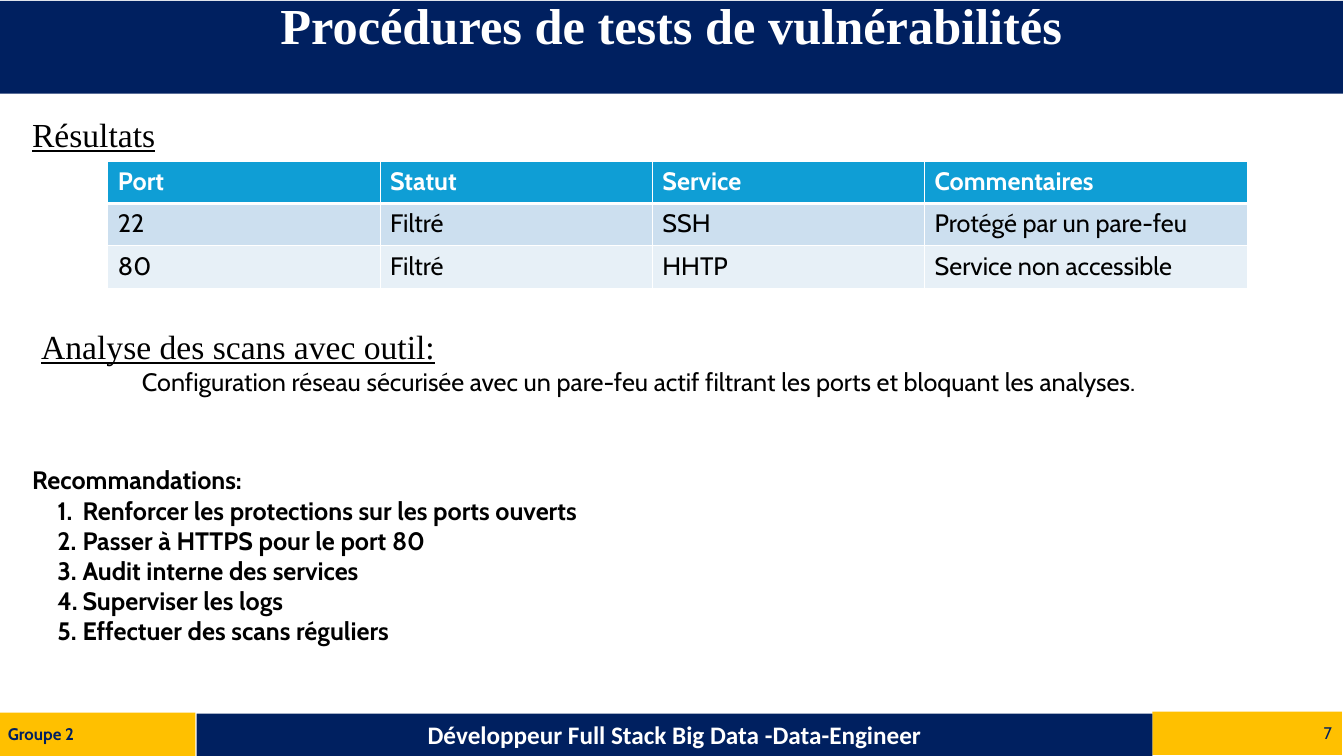
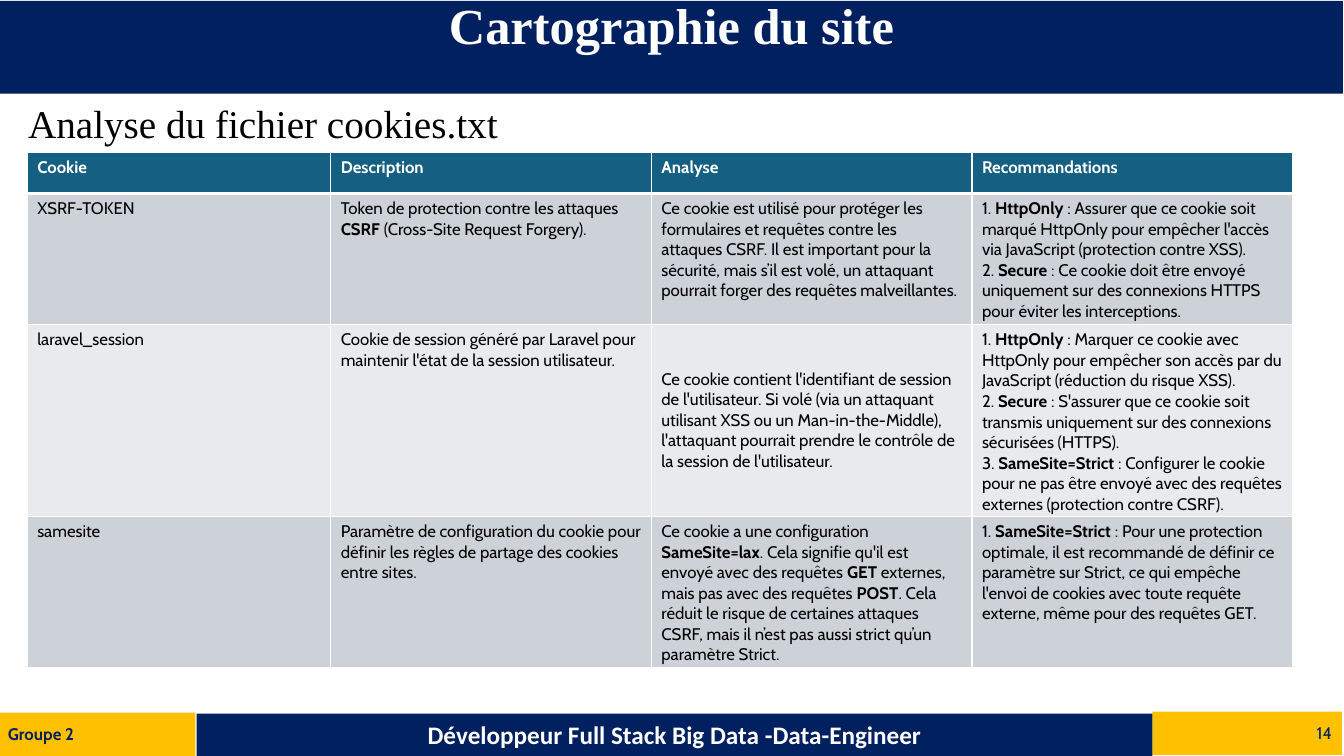
from dataclasses import dataclass

import lxml.etree
import pptx
import pptx.dml.color
import pptx.enum.shapes
import pptx.enum.text
import pptx.oxml.ns
import pptx.presentation
import pptx.shapes.autoshape
import pptx.slide
import pptx.table
import pptx.text.text
import pptx.util

Inches = pptx.util.Inches
Color = pptx.dml.color.RGBColor
Align = pptx.enum.text.PP_ALIGN
Anchor = pptx.enum.text.MSO_ANCHOR
qn = pptx.oxml.ns.qn


@dataclass(frozen=True)
class Theme:
    navy: Color = Color(0x00, 0x20, 0x60)
    gold: Color = Color(0xFF, 0xC0, 0x00)
    white: Color = Color(0xFF, 0xFF, 0xFF)
    black: Color = Color(0x00, 0x00, 0x00)
    serif: str = "Times New Roman"
    body: str = "Cabin"
    footer: str = "Calibri"
    title_size: int = 36
    subtitle_size: int = 28
    heading_size: int = 24
    text_size: int = 18
    small_size: int = 12
    thin_border: int = 1
    thick_border: int = 3


THEME = Theme()


@dataclass(frozen=True)
class Area:
    left: float
    top: float
    width: float
    height: float

    def lengths(self) -> tuple[int, int, int, int]:
        return (Inches(self.left), Inches(self.top),
                Inches(self.width), Inches(self.height))


@dataclass(frozen=True)
class TextStyle:
    font: str
    size: int
    color: Color = THEME.black
    bold: bool = False
    underline: bool = False


@dataclass(frozen=True)
class Band:
    area: Area
    fill: Color
    style: TextStyle
    align: Align
    text: str


@dataclass(frozen=True)
class Grid:
    left: float
    top: float
    columns: tuple[float, ...]
    heights: tuple[float, ...]
    size: int
    header_fill: Color
    row_fills: tuple[Color, Color]
    rows: tuple[tuple[str, ...], ...]
    centred: tuple[tuple[int, int], ...] = ()


TITLE = TextStyle(THEME.serif, THEME.title_size, THEME.white, bold=True)
SUBTITLE = TextStyle(THEME.serif, THEME.subtitle_size)
HEADING = TextStyle(THEME.serif, THEME.heading_size, underline=True)
BODY = TextStyle(THEME.body, THEME.text_size)
STRONG = TextStyle(THEME.body, THEME.text_size, bold=True)
NUMBER = TextStyle(THEME.body, THEME.small_size, THEME.navy)
GROUP = TextStyle(THEME.body, THEME.small_size, THEME.navy, bold=True)
COURSE = TextStyle(THEME.footer, THEME.text_size, THEME.white, bold=True)

PORTS = Grid(
    left=1.07, top=1.6, columns=(2.7, 2.7, 2.7, 3.2), heights=(0.42,) * 3,
    size=THEME.text_size, header_fill=Color(0x0F, 0x9E, 0xD5),
    row_fills=(Color(0xCC, 0xDF, 0xEF), Color(0xE7, 0xF0, 0xF7)),
    rows=(
        ("Port", "Statut", "Service", "Commentaires"),
        ("22", "Filtré", "SSH", "Protégé par un pare-feu"),
        ("80", "Filtré", "HHTP", "Service non accessible"),
    ),
)

COOKIES = Grid(
    left=0.27, top=1.51, columns=(3.01, 3.18, 3.18, 3.18),
    heights=(0.41, 1.29, 1.9, 1.5),
    size=THEME.small_size, header_fill=Color(0x15, 0x60, 0x82),
    row_fills=(Color(0xCC, 0xD2, 0xD8), Color(0xE8, 0xEA, 0xED)),
    rows=(
        ("Cookie", "Description", "Analyse", "Recommandations"),
        (
            "XSRF-TOKEN",
            "Token de protection contre les attaques **CSRF** (Cross-Site Request Forgery).",
            "Ce cookie est utilisé pour protéger les formulaires et requêtes contre les "
            "attaques CSRF. Il est important pour la sécurité, mais s’il est volé, un "
            "attaquant pourrait forger des requêtes malveillantes.",
            "1. **HttpOnly** : Assurer que ce cookie soit marqué HttpOnly pour empêcher "
            "l'accès via JavaScript (protection contre XSS).\n"
            "2. **Secure** : Ce cookie doit être envoyé uniquement sur des connexions "
            "HTTPS pour éviter les interceptions.",
        ),
        (
            "laravel_session",
            "Cookie de session généré par Laravel pour maintenir l'état de la session "
            "utilisateur.",
            "Ce cookie contient l'identifiant de session de l'utilisateur. Si volé (via un "
            "attaquant utilisant XSS ou un Man-in-the-Middle), l'attaquant pourrait prendre "
            "le contrôle de la session de l'utilisateur.",
            "1. **HttpOnly** : Marquer ce cookie avec HttpOnly pour empêcher son accès par "
            "du JavaScript (réduction du risque XSS).\n"
            "2. **Secure** : S'assurer que ce cookie soit transmis uniquement sur des "
            "connexions sécurisées (HTTPS).\n"
            "3. **SameSite=Strict** : Configurer le cookie pour ne pas être envoyé avec des "
            "requêtes externes (protection contre CSRF).",
        ),
        (
            "samesite",
            "Paramètre de configuration du cookie pour définir les règles de partage des "
            "cookies entre sites.",
            "Ce cookie a une configuration **SameSite=lax**. Cela signifie qu'il est envoyé "
            "avec des requêtes **GET** externes, mais pas avec des requêtes **POST**. Cela "
            "réduit le risque de certaines attaques CSRF, mais il n’est pas aussi strict "
            "qu’un paramètre Strict.",
            "1. **SameSite=Strict** : Pour une protection optimale, il est recommandé de "
            "définir ce paramètre sur Strict, ce qui empêche l'envoi de cookies avec toute "
            "requête externe, même pour des requêtes GET.",
        ),
    ),
    centred=((2, 2),),
)

RECOMMENDATIONS = (
    "Renforcer les protections sur les ports ouverts",
    "Passer à HTTPS pour le port 80",
    "Audit interne des services",
    "Superviser les logs",
    "Effectuer des scans réguliers",
)


def add_span(para: pptx.text.text._Paragraph, text: str, style: TextStyle,
             bold: bool = False) -> None:
    span = para.add_run()
    span.text = text
    span.font.name = style.font
    span.font.size = pptx.util.Pt(style.size)
    span.font.bold = style.bold or bold
    span.font.underline = style.underline
    span.font.color.rgb = style.color


def add_marked_text(para: pptx.text.text._Paragraph, text: str, style: TextStyle) -> None:
    for line_index, line in enumerate(text.split("\n")):
        if line_index:
            para.add_line_break()
        for part_index, part in enumerate(line.split("**")):
            if part:
                add_span(para, part, style, bold=part_index % 2 == 1)


def indent(para: pptx.text.text._Paragraph, left: float, first: float = 0,
           numbered: bool = False) -> None:
    properties = para._p.get_or_add_pPr()
    properties.set("marL", str(Inches(left)))
    properties.set("indent", str(Inches(first)))
    if numbered:
        lxml.etree.SubElement(properties, qn("a:buAutoNum"), type="arabicPeriod")


def add_band(page: pptx.slide.Slide, band: Band) -> pptx.shapes.autoshape.Shape:
    box = page.shapes.add_shape(
        pptx.enum.shapes.MSO_SHAPE.RECTANGLE, *band.area.lengths())
    box.shadow.inherit = False
    box.fill.solid()
    box.fill.fore_color.rgb = band.fill
    box.line.fill.background()
    box.text_frame.word_wrap = True
    box.text_frame.vertical_anchor = Anchor.MIDDLE
    para = box.text_frame.paragraphs[0]
    para.alignment = band.align
    add_span(para, band.text, band.style)
    return box


def add_text(page: pptx.slide.Slide, area: Area, text: str,
             style: TextStyle) -> pptx.text.text.TextFrame:
    frame = page.shapes.add_textbox(*area.lengths()).text_frame
    frame.word_wrap = True
    add_span(frame.paragraphs[0], text, style)
    return frame


def add_borders(cell: pptx.table._Cell, row: int) -> None:
    properties = cell._tc.get_or_add_tcPr()
    widths = {
        "L": THEME.thin_border,
        "R": THEME.thin_border,
        "T": THEME.thick_border if row == 1 else THEME.thin_border,
        "B": THEME.thick_border if row == 0 else THEME.thin_border,
    }
    for side, width in widths.items():
        line = lxml.etree.SubElement(
            properties, qn(f"a:ln{side}"), w=str(pptx.util.Pt(width)))
        fill = lxml.etree.SubElement(line, qn("a:solidFill"))
        lxml.etree.SubElement(fill, qn("a:srgbClr"), val=str(THEME.white))


def add_grid(page: pptx.slide.Slide, grid: Grid) -> None:
    area = Area(grid.left, grid.top, sum(grid.columns), sum(grid.heights))
    table = page.shapes.add_table(
        len(grid.rows), len(grid.columns), *area.lengths()).table
    table.horz_banding = False
    for column, width in zip(table.columns, grid.columns):
        column.width = Inches(width)
    for row, height in zip(table.rows, grid.heights):
        row.height = Inches(height)
    header = TextStyle(THEME.body, grid.size, THEME.white, bold=True)
    plain = TextStyle(THEME.body, grid.size)
    for row_index, texts in enumerate(grid.rows):
        is_header = row_index == 0
        for column_index, text in enumerate(texts):
            cell = table.cell(row_index, column_index)
            add_borders(cell, row_index)
            cell.fill.solid()
            cell.fill.fore_color.rgb = (
                grid.header_fill if is_header else grid.row_fills[(row_index - 1) % 2])
            if (row_index, column_index) in grid.centred:
                cell.vertical_anchor = Anchor.MIDDLE
            add_marked_text(cell.text_frame.paragraphs[0], text,
                            header if is_header else plain)


def add_page(deck: pptx.presentation.Presentation, title: str,
             number: int) -> pptx.slide.Slide:
    page = deck.slides.add_slide(deck.slide_layouts[6])
    banner = add_band(page, Band(
        Area(0, 0.01, 13.32, 0.92), THEME.navy, TITLE, Align.CENTER, title))
    banner.text_frame.vertical_anchor = Anchor.TOP
    banner.text_frame.margin_top = Inches(0)
    banner.text_frame.paragraphs[0].line_spacing = 0.9
    footers = (
        Band(Area(11.43, 7.06, 1.88, 0.43), THEME.gold, NUMBER, Align.RIGHT, str(number)),
        Band(Area(1.95, 7.08, 9.48, 0.42), THEME.navy, COURSE, Align.CENTER,
             "Développeur Full Stack Big Data -Data-Engineer"),
        Band(Area(-0.02, 7.07, 1.96, 0.43), THEME.gold, GROUP, Align.LEFT, "Groupe 2"),
    )
    for footer in footers:
        add_band(page, footer)
    return page


def add_vulnerability_page(deck: pptx.presentation.Presentation) -> None:
    page = add_page(deck, "Procédures de tests de vulnérabilités", 7)
    add_text(page, Area(0.22, 1.08, 1.96, 0.5), "Résultats", HEADING)
    add_grid(page, PORTS)
    analysis = add_text(
        page, Area(0.31, 3.18, 12.21, 0.81), "Analyse des scans avec outil:", HEADING)
    para = analysis.add_paragraph()
    indent(para, 1)
    add_span(para, "Configuration réseau sécurisée avec un pare-feu actif filtrant les "
                   "ports et bloquant les analyses.", BODY)
    advice = add_text(page, Area(0.22, 4.56, 6.21, 1.92), "Recommandations:", STRONG)
    for text in RECOMMENDATIONS:
        para = advice.add_paragraph()
        indent(para, 0.5, -0.25, numbered=True)
        add_span(para, text, STRONG)


def add_cookie_page(deck: pptx.presentation.Presentation) -> None:
    page = add_page(deck, "Cartographie du site", 14)
    add_text(page, Area(0.18, 0.94, 5.05, 0.57), "Analyse du fichier cookies.txt", SUBTITLE)
    add_grid(page, COOKIES)


def main() -> None:
    deck = pptx.Presentation()
    deck.slide_width = Inches(13.33)
    deck.slide_height = Inches(7.5)
    add_vulnerability_page(deck)
    add_cookie_page(deck)
    deck.save("out.pptx")


if __name__ == "__main__":
    main()
